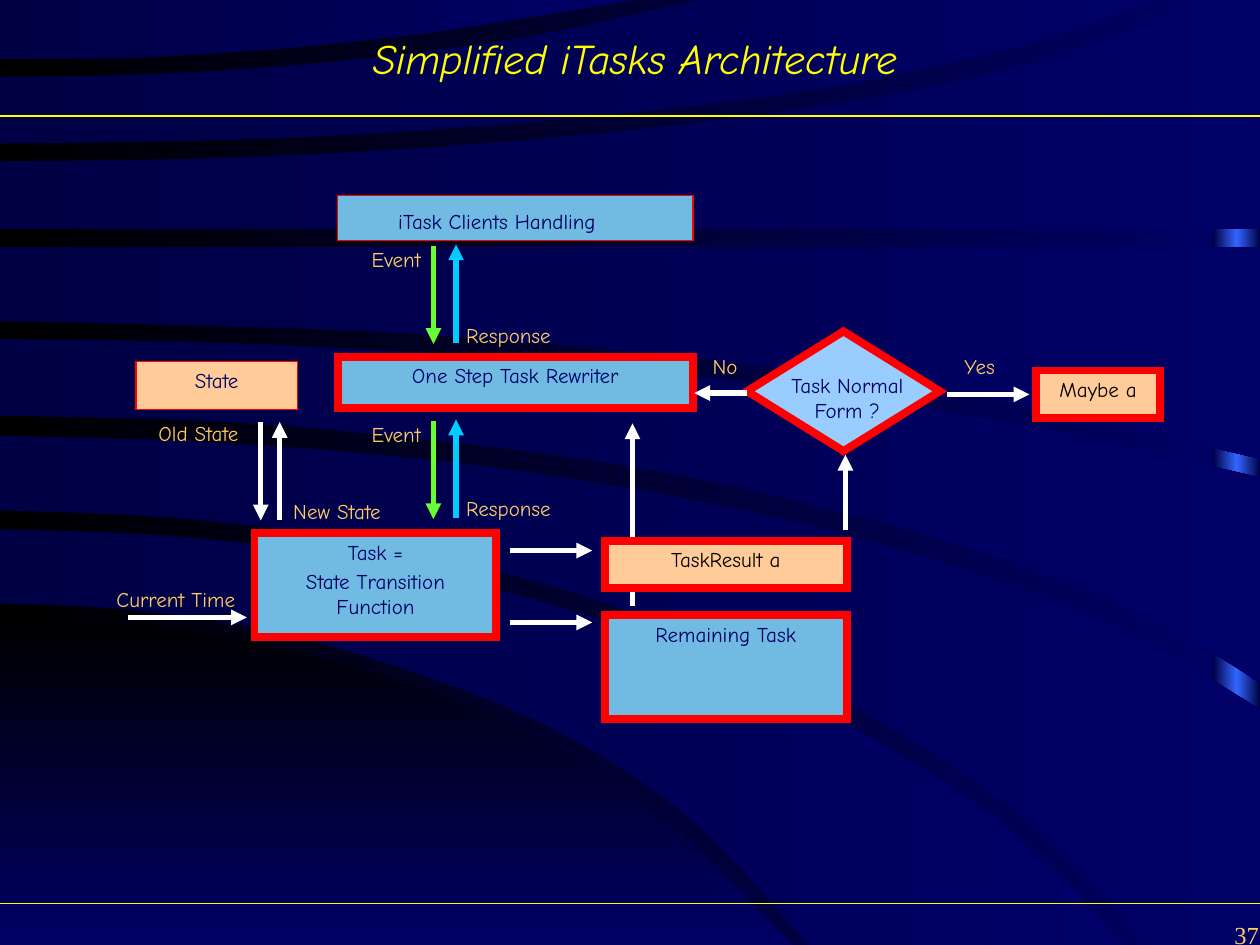
from copy import deepcopy

from lxml import etree
from pptx import Presentation
from pptx.dml.color import RGBColor
from pptx.enum import shapes, text
from pptx.oxml.ns import qn
from pptx.util import Inches, Pt

FONT = "Comic Neue"
NAVY, BLACK, WHITE = "000066", "000000", "FFFFFF"
YELLOW, RED, GOLD, PEACH = "FFFF00", "FF0000", "FFCC66", "FFCC99"
BLUE, PALE_BLUE, GREEN, CYAN = "71BBE3", "99CCFF", "66FF33", "00CCFF"
DARK = "000044"
WIDTH, HEIGHT = 10, 7.5

# Each band: upper edge, corners on the right, lower edge; edges run left to right.
BANDS = [
    ([(0, 4.2), (1.3, 4.25), (2.49, 4.39), (3.82, 4.65), (5.15, 5.05), (6.44, 5.59),
      (7.66, 6.32), (8.33, 6.87), (8.93, 7.5)], [],
     [(0, 4.79), (1.05, 4.84), (2.21, 5.02), (3.42, 5.38), (4.54, 5.86), (5.53, 6.54),
      (6.42, 7.5)]),
    ([(0, 3.46), (1.44, 3.5), (2.89, 3.6), (4.26, 3.76), (5.7, 4.01), (6.93, 4.3),
      (8.18, 4.7), (9.04, 5.06), (10, 5.63)], [(10, 7.5)],
     [(0, 4.05), (1.4, 4.11), (2.67, 4.27), (4.05, 4.56), (5.21, 4.92), (6.36, 5.39),
      (7.56, 6.08), (8.38, 6.72), (9.09, 7.5)]),
    ([(0, 2.69), (1.68, 2.72), (3.49, 2.81), (5.23, 2.96), (6.62, 3.13), (8.16, 3.38),
      (10, 3.79)], [],
     [(0, 3.3), (1.67, 3.34), (3.03, 3.45), (4.62, 3.64), (6.1, 3.92), (7.43, 4.27),
      (8.53, 4.65), (9.51, 5.12), (10, 5.42)]),
    ([(0, 1.96), (10, 1.96)], [],
     [(0, 2.55), (1.86, 2.59), (3.32, 2.65), (5.02, 2.79), (6.62, 2.98), (8.13, 3.22),
      (10, 3.64)]),
    ([(0, 1.28), (1.57, 1.26), (3.29, 1.18), (5.08, 1.03), (6.84, 0.79), (8.03, 0.54),
      (8.92, 0.25), (9.43, 0)], [(10, 0), (10, 1.82)], [(0, 1.82)]),
    ([(0, 0.61), (1.21, 0.59), (2.67, 0.49), (4.16, 0.3), (5.56, 0)], [],
     [(0, 1.14), (1.77, 1.11), (3.41, 1.03), (5.04, 0.89), (6.48, 0.71), (7.72, 0.46),
      (8.54, 0.23), (9.17, 0)]),
    ([(0, 0), (5.01, 0)], [],
     [(0, 0.47), (1.01, 0.46), (2.26, 0.38), (3.46, 0.25), (5.01, 0)]),
]
FLOOR = ([(0, 4.91), (1.13, 4.97), (2.19, 5.14), (3.28, 5.44), (4.26, 5.86),
          (5.29, 6.51), (6.29, 7.5)], [], [(0, 7.5)])


def color(value):
    return RGBColor.from_string(value)


def paint_gradient(fill, element, colors, angle=0):
    """Spread the colours evenly; the angle is counter-clockwise."""
    fill.gradient()
    fill.gradient_angle = angle
    stop_list = element.xpath(".//a:gsLst")[0]
    for _ in colors[2:]:
        stop_list.insert(1, deepcopy(stop_list[0]))
    for index, (stop, value) in enumerate(zip(fill.gradient_stops, colors)):
        stop.color.rgb = color(value)
        stop.position = index / (len(colors) - 1)


def smooth(knots, steps=4):
    """Catmull-Rom points through the knots."""
    padded = [knots[0], *knots, knots[-1]]
    points = []
    for a, b, c, d in zip(padded, padded[1:], padded[2:], padded[3:]):
        for step in range(steps):
            t = step / steps
            points.append(tuple(
                (2 * q + (r - p) * t + (2 * p - 5 * q + 4 * r - s) * t ** 2
                 + (3 * q - p - 3 * r + s) * t ** 3) / 2
                for p, q, r, s in zip(a, b, c, d)))
    return points + [knots[-1]]


def add_band(page, band, colors, angle=0):
    upper, corners, lower = band
    outline = [(Inches(x), Inches(y))
               for x, y in smooth(upper) + corners + smooth(lower)[::-1]]
    builder = page.shapes.build_freeform(*outline[0])
    builder.add_line_segments(outline[1:], close=True)
    shape = builder.convert_to_shape()
    shape.shadow.inherit = False
    shape.line.fill.background()
    paint_gradient(shape.fill, shape._element, colors, angle)


def add_line(page, start, end, stroke, width=3, arrow=True):
    line = page.shapes.add_connector(
        shapes.MSO_CONNECTOR.STRAIGHT, *map(Inches, (*start, *end)))
    line.line.color.rgb = color(stroke)
    line.line.width = Pt(width)
    properties = line._element.spPr
    if arrow:
        etree.SubElement(properties.get_or_add_ln(), qn("a:tailEnd"), type="triangle")
    etree.SubElement(properties, qn("a:effectLst"))


def write(frame, words, ink, size=12, font=FONT, align=text.PP_ALIGN.CENTER):
    frame.word_wrap = True
    frame.vertical_anchor = text.MSO_ANCHOR.TOP
    frame.text = words
    for index, para in enumerate(frame.paragraphs):
        para.alignment = align
        para.space_before = Pt(2.4 if index else 0)
        for span in para.runs:
            span.font.name, span.font.size = font, Pt(size)
            span.font.color.rgb = color(ink)


def add_label(page, left, top, words, width=1.49, height=0.3, ink=GOLD, **style):
    box = page.shapes.add_textbox(*map(Inches, (left, top, width, height)))
    write(box.text_frame, words, ink, **style)


def add_node(page, left, top, width, height, fill, words="", ink=NAVY, border=4.5,
             kind=shapes.MSO_SHAPE.RECTANGLE):
    node = page.shapes.add_shape(kind, *map(Inches, (left, top, width, height)))
    node.shadow.inherit = False
    node.fill.solid()
    node.fill.fore_color.rgb = color(fill)
    node.line.color.rgb = color(RED)
    node.line.width = Pt(border)
    etree.SubElement(node._element.spPr.get_or_add_ln(), qn("a:miter"), lim="800000")
    if words:
        write(node.text_frame, words, ink)


def draw_backdrop(page):
    paint_gradient(page.background.fill, page._element, [BLACK, NAVY])
    add_band(page, FLOOR, [BLACK, NAVY], angle=270)
    glow = page.shapes.add_shape(
        shapes.MSO_SHAPE.RECTANGLE, *map(Inches, (9.63, 0, 0.37, HEIGHT)))
    glow.shadow.inherit = False
    glow.line.fill.background()
    paint_gradient(glow.fill, glow._element, [DARK, "3366FF", DARK])
    for band in BANDS:
        add_band(page, band, [DARK, NAVY])
    for y in (7.17, 0.92):
        add_line(page, (0, y), (WIDTH, y), YELLOW, width=0.75, arrow=False)
    add_label(page, 9.3, 7.25, "37", width=0.79, height=0.33, size=14,
              font="Times New Roman", align=text.PP_ALIGN.RIGHT)


def draw_title(page, left, top, width, height):
    """Fill the title and bring it in front of the backdrop."""
    title = page.shapes.title
    title._element.getparent().append(title._element)
    title.left, title.top, title.width, title.height = map(
        Inches, (left, top, width, height))
    write(title.text_frame, "Simplified iTasks Architecture", YELLOW, size=24)
    title.text_frame.vertical_anchor = text.MSO_ANCHOR.MIDDLE
    title.text_frame.paragraphs[0].runs[0].font.italic = True


def draw_clients(page, left, top):
    """Client handling, the rewriter and the messages below each."""
    add_node(page, left, top, 2.82, 0.36, BLUE, border=0.75)
    add_label(page, left + 0.3, top + 0.06, "iTask Clients Handling", width=1.93, ink=NAVY)
    add_node(page, left, top + 1.28, 2.82, 0.41, BLUE, "One Step Task Rewriter")
    for y, drop in ((top + 0.4, 0.56), (top + 1.79, 0.54)):
        add_line(page, (left + 0.76, y), (left + 0.76, y + 0.78), GREEN)
        add_line(page, (left + 0.94, y + 0.77), (left + 0.94, y - 0.01), CYAN)
        add_label(page, left - 0.28, y - 0.04, "Event")
        add_label(page, left + 0.61, y + drop, "Response")


def draw_state(page, left, top):
    add_node(page, left, top, 1.28, 0.38, PEACH, "State", border=0.75)
    add_line(page, (left + 0.99, top + 0.48), (left + 0.99, top + 1.26), WHITE)
    add_line(page, (left + 1.14, top + 1.26), (left + 1.14, top + 0.48), WHITE)
    add_label(page, left - 0.25, top + 0.42, "Old State")
    add_label(page, left + 0.85, top + 1.04, "New State")


def draw_task(page, left, top):
    """The task, its clock input and its two outputs."""
    add_node(page, left, top, 1.92, 0.83, BLUE, "Task =\nState Transition Function")
    add_label(page, left - 1.37, top + 0.38, "Current Time")
    add_line(page, (left - 1, top + 0.67), (left - 0.06, top + 0.67), WHITE)
    for y in (top + 0.14, top + 0.71):
        add_line(page, (left + 2.03, y), (left + 2.68, y), WHITE)


def draw_results(page, left, top):
    add_line(page, (left + 0.22, top + 0.52), (left + 0.22, top - 0.93), WHITE)
    add_node(page, left, top, 1.92, 0.38, PEACH, "TaskResult a", ink=BLACK)
    add_node(page, left, top + 0.59, 1.92, 0.83, BLUE, "Remaining Task")
    add_line(page, (left + 1.91, top - 0.08), (left + 1.91, top - 0.68), WHITE)


def draw_decision(page, left, top):
    add_node(page, left, top, 1.53, 0.95, PALE_BLUE,
             kind=shapes.MSO_SHAPE.FLOWCHART_DECISION)
    add_label(page, left + 0.05, top + 0.28, "Task Normal Form ?", height=0.5, ink=NAVY)
    add_line(page, (left, top + 0.49), (left - 0.42, top + 0.49), WHITE)
    add_line(page, (left + 1.59, top + 0.5), (left + 2.24, top + 0.5), WHITE)
    for x, answer in ((left - 0.46, "No"), (left + 1.56, "Yes")):
        add_label(page, x, top + 0.13, answer, width=0.57)
    add_node(page, left + 2.29, top + 0.31, 0.99, 0.38, PEACH, "Maybe a", ink=BLACK)


def main():
    deck = Presentation()
    deck.slide_width, deck.slide_height = Inches(WIDTH), Inches(HEIGHT)
    page = deck.slides.add_slide(deck.slide_layouts[5])
    draw_backdrop(page)
    draw_title(page, 0.08, 0, 9.92, 0.92)
    draw_clients(page, 2.68, 1.55)
    draw_state(page, 1.08, 2.87)
    draw_task(page, 2.02, 4.23)
    draw_results(page, 4.8, 4.29)
    draw_decision(page, 5.93, 2.63)
    deck.save("out.pptx")


if __name__ == "__main__":
    main()
